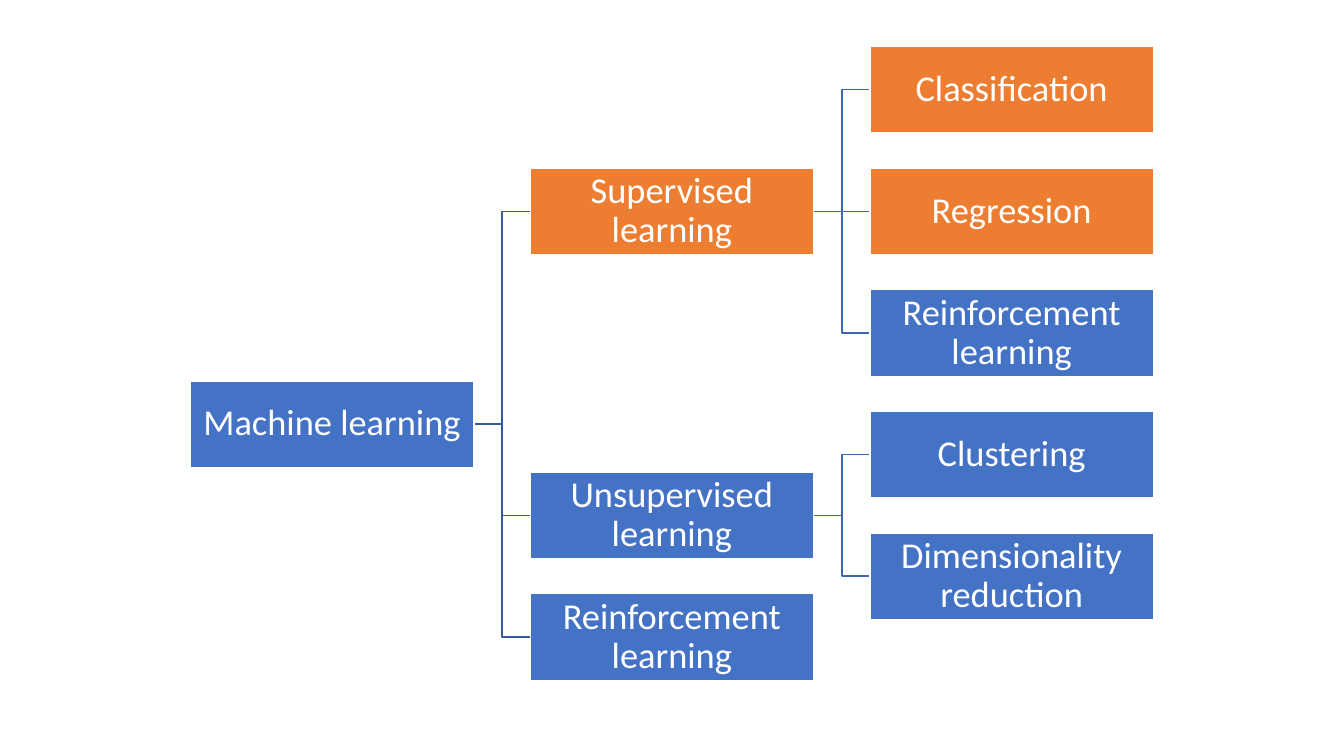
from dataclasses import dataclass, field

from lxml import etree
from pptx import Presentation
from pptx.dml.color import RGBColor
from pptx.enum.shapes import MSO_CONNECTOR as CONN, MSO_SHAPE as SHAPE
from pptx.enum.text import MSO_ANCHOR as ANCHOR, PP_ALIGN as ALIGN
from pptx.oxml.ns import qn
from pptx.util import Inches, Pt

BLUE = RGBColor(0x44, 0x72, 0xC4)
ORANGE = RGBColor(0xED, 0x7D, 0x31)
WHITE = RGBColor(0xFF, 0xFF, 0xFF)
LEVEL_LINES = [RGBColor(0x36, 0x5B, 0x9D), RGBColor(0x3E, 0x67, 0xB2)]
BOX_W, BOX_H = 2.81, 0.86
RIGHT, LEFT = 3, 1


@dataclass
class Node:
    label: str
    fill: RGBColor = BLUE
    children: list = field(default_factory=list)
    row: float = 0


TREE = Node("Machine learning", children=[
    Node("Supervised learning", ORANGE, [
        Node("Classification", ORANGE),
        Node("Regression", ORANGE),
        Node("Reinforcement learning"),
    ]),
    Node("Unsupervised learning", children=[
        Node("Clustering"),
        Node("Dimensionality reduction"),
    ]),
    Node("Reinforcement learning"),
])


def assign_rows(node, last_rows, level=0):
    """Centre a parent on its children; put a leaf one row below the last in its column."""
    for child in node.children:
        assign_rows(child, last_rows, level + 1)
    if node.children:
        node.row = (node.children[0].row + node.children[-1].row) / 2
    else:
        node.row = last_rows.get(level, -1) + 1
    last_rows[level] = node.row


def add_box(slide, node, left, top):
    sp = slide.shapes.add_shape(SHAPE.RECTANGLE, Inches(left), Inches(top),
                                Inches(BOX_W), Inches(BOX_H))
    sp.shadow.inherit = False
    sp.fill.solid()
    sp.fill.fore_color.rgb = node.fill
    sp.line.color.rgb = WHITE
    sp.line.width = Pt(1)
    tf = sp.text_frame
    tf.word_wrap = True
    tf.vertical_anchor = ANCHOR.MIDDLE
    tf.margin_left = tf.margin_right = tf.margin_top = tf.margin_bottom = Inches(0.02)
    p = tf.paragraphs[0]
    p.alignment = ALIGN.CENTER
    p.line_spacing = 0.9
    r = p.add_run()
    r.text = node.label
    r.font.name = "Calibri"
    r.font.size = Pt(26)
    r.font.color.rgb = WHITE
    return sp


def add_branch(slide, parent, child, color, straight):
    """Join two boxes by a line that lies behind all boxes."""
    kind = CONN.STRAIGHT if straight else CONN.ELBOW
    line = slide.shapes.add_connector(kind, 0, 0, 0, 0)
    line.begin_connect(parent, RIGHT)
    line.end_connect(child, LEFT)
    line.line.color.rgb = color
    line.line.width = Pt(1)
    el = line._element
    etree.SubElement(el.spPr, qn("a:effectLst"))
    el.getparent().insert(2, el)


def add_tree(slide, root, left, top, width, height):
    last_rows = {}
    assign_rows(root, last_rows)
    col_step = (width - BOX_W) / max(last_rows)
    row_step = (height - BOX_H) / max(last_rows.values())

    def add_node(node, level):
        sp = add_box(slide, node, left + level * col_step, top + node.row * row_step)
        for child in node.children:
            child_sp = add_node(child, level + 1)
            add_branch(slide, sp, child_sp, LEVEL_LINES[level], child.row == node.row)
        return sp

    add_node(root, 0)


def main():
    prs = Presentation()
    prs.slide_width, prs.slide_height = Inches(13.33), Inches(7.5)
    slide = prs.slides.add_slide(prs.slide_layouts[6])
    add_tree(slide, TREE, 1.89, 0.46, 9.55, 6.29)
    prs.save("out.pptx")


if __name__ == "__main__":
    main()
